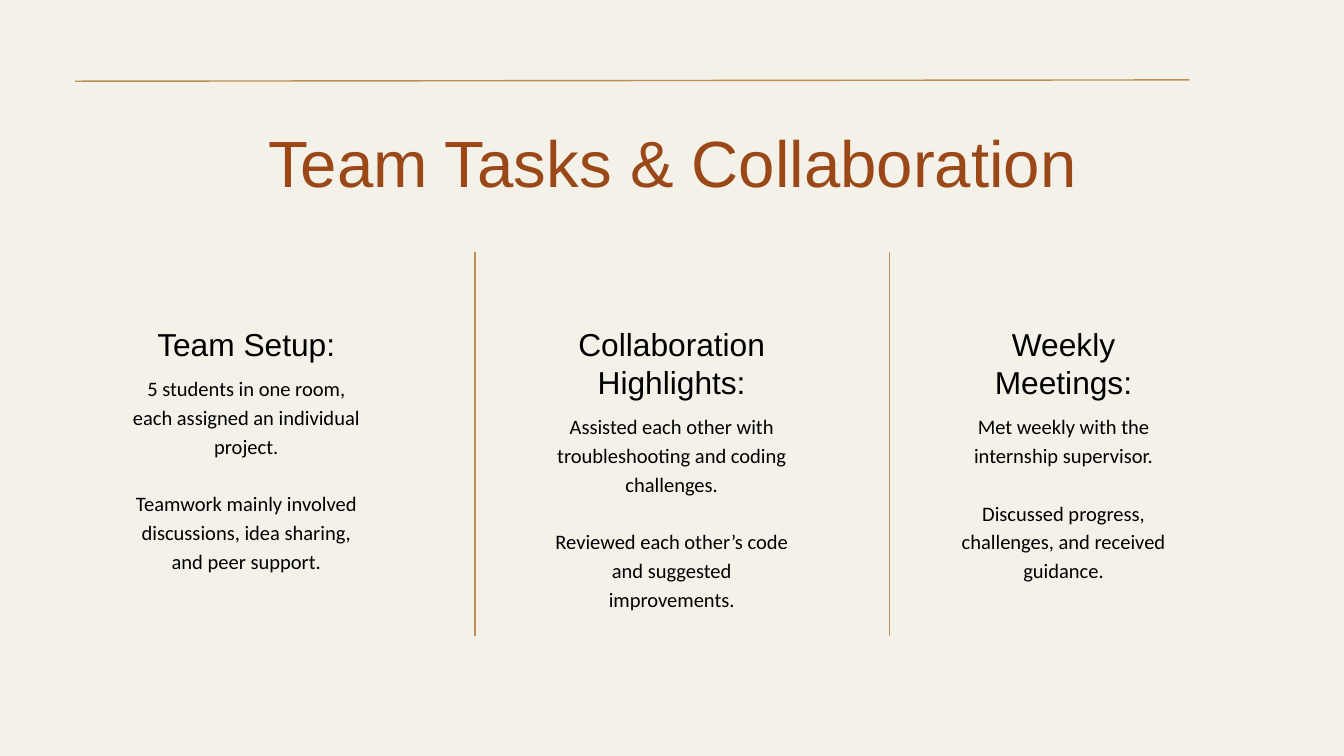
from dataclasses import dataclass

from pptx import Presentation
from pptx.dml.color import RGBColor
from pptx.enum.shapes import MSO_CONNECTOR
from pptx.enum.text import MSO_AUTO_SIZE, PP_ALIGN
from pptx.oxml.ns import qn
from pptx.slide import Slide
from pptx.util import Cm, Pt

CREAM = RGBColor(0xF4, 0xF1, 0xE8)
GOLD = RGBColor(0xBD, 0x8F, 0x53)
RUST = RGBColor(0x9B, 0x48, 0x19)
BLACK = RGBColor(0, 0, 0)

# Column layout, in centimetres
COLUMN_TOP = 12.29
COLUMN_WIDTH = 9.02
HEADING_LINE = 1.44
HEADING_GAP = 0.34
BODY_HEIGHT = 7.62
BODY_LEADING = 30.8  # points


@dataclass
class Column:
    left: float
    heading: str
    heading_lines: int
    paragraphs: list[str]


COLUMNS = [
    Column(4.8, "Team Setup:", 1, [
        "5 students in one room, each assigned an individual project.",
        "Teamwork mainly involved discussions, idea sharing, and peer support.",
    ]),
    Column(20.88, "Collaboration Highlights:", 2, [
        "Assisted each other with troubleshooting and coding challenges.",
        "Reviewed each other’s code and suggested improvements.",
    ]),
    Column(35.69, "Weekly Meetings:", 2, [
        "Met weekly with the internship supervisor.",
        "Discussed progress, challenges, and received guidance.",
    ]),
]


def add_text(s: Slide, paragraphs: list[str], left: float, top: float,
             width: float, height: float, *, size: float, leading: float,
             font: str = "Arial", color: RGBColor = BLACK,
             gap: float = 0) -> None:
    sp = s.shapes.add_textbox(Cm(left), Cm(top), Cm(width), Cm(height))
    tf = sp.text_frame
    tf.word_wrap = True
    tf.auto_size = MSO_AUTO_SIZE.SHAPE_TO_FIT_TEXT
    tf.margin_left = tf.margin_right = tf.margin_top = tf.margin_bottom = 0
    for i, text in enumerate(paragraphs):
        p = tf.add_paragraph() if i else tf.paragraphs[0]
        p.alignment = PP_ALIGN.CENTER
        p.line_spacing = Pt(leading)
        if i:
            p.space_before = Pt(gap)
        r = p.add_run()
        r.text = text
        r.font.name = font
        r.font.size = Pt(size)
        r.font.color.rgb = color


def add_rule(s: Slide, x1: float, y1: float, x2: float, y2: float) -> None:
    line = s.shapes.add_connector(
        MSO_CONNECTOR.STRAIGHT, Cm(x1), Cm(y1), Cm(x2), Cm(y2))
    line.line.color.rgb = GOLD
    line.line.width = Pt(1.5)
    sp_pr = line._element.spPr
    sp_pr.append(sp_pr.makeelement(qn("a:effectLst"), {}))


def add_column(s: Slide, column: Column) -> None:
    heading_height = column.heading_lines * HEADING_LINE
    add_text(s, [column.heading], column.left, COLUMN_TOP, COLUMN_WIDTH,
             heading_height, size=34, leading=40.8)
    add_text(s, column.paragraphs, column.left,
             COLUMN_TOP + heading_height + HEADING_GAP, COLUMN_WIDTH,
             BODY_HEIGHT, size=22, leading=BODY_LEADING, font="Calibri",
             gap=BODY_LEADING)


def main() -> None:
    prs = Presentation()
    prs.slide_width, prs.slide_height = Cm(50.8), Cm(28.58)
    s = prs.slides.add_slide(prs.slide_layouts[6])
    s.background.fill.solid()
    s.background.fill.fore_color.rgb = CREAM

    # Top rule and column dividers
    add_rule(s, 2.84, 3.07, 44.96, 3.02)
    for x in (17.96, 33.63):
        add_rule(s, x, 9.53, x, 24.05)

    # Title
    add_text(s, ["Team Tasks & Collaboration"], 6.1, 4.8, 38.63, 2.79,
             size=70, leading=78.4, color=RUST)

    # Three text columns
    for column in COLUMNS:
        add_column(s, column)

    prs.save("out.pptx")


if __name__ == "__main__":
    main()
